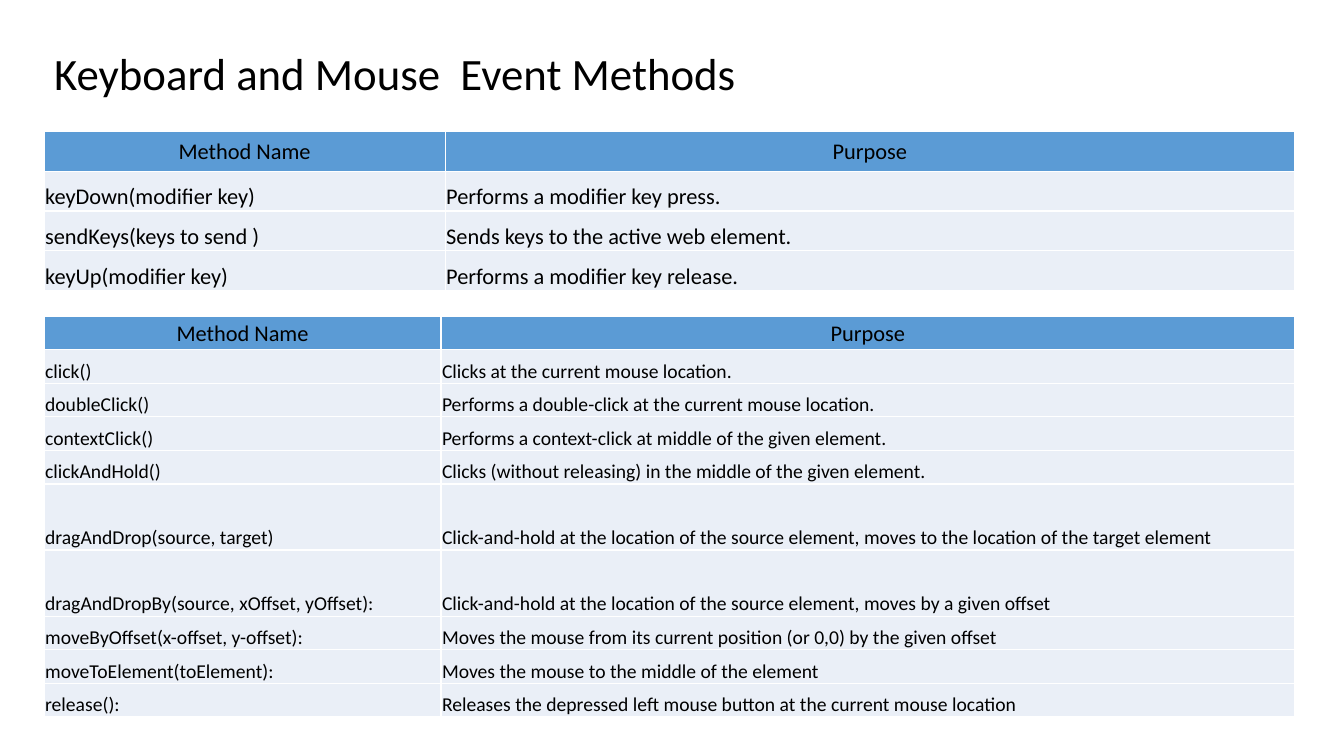
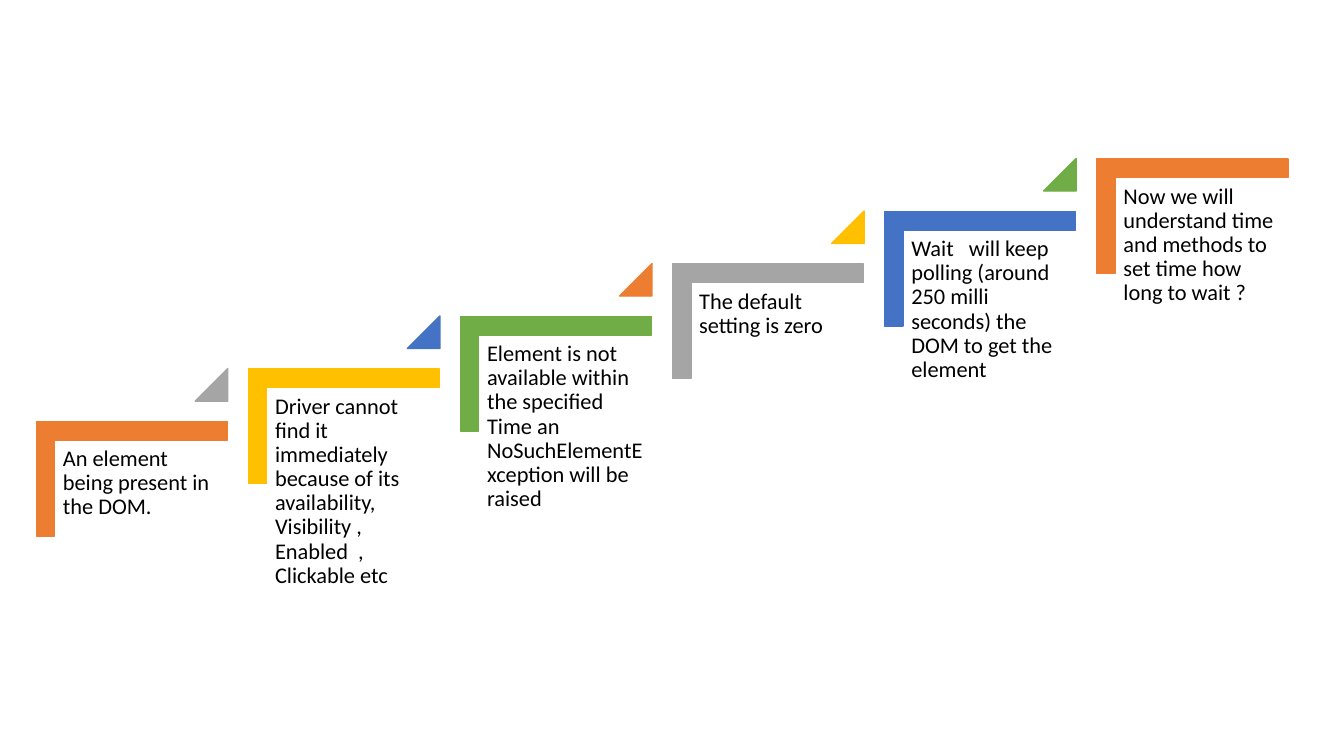
from itertools import cycle

from lxml.etree import SubElement
from pptx import Presentation
from pptx.dml.color import RGBColor
from pptx.enum.shapes import MSO_SHAPE as Shape
from pptx.enum.text import MSO_ANCHOR as Anchor, MSO_AUTO_SIZE as Auto, PP_ALIGN as Align
from pptx.oxml.ns import qn
from pptx.util import Pt

FONT = "Calibri"
BLACK, WHITE = "000000", "FFFFFF"
HEAD, BODY = "5B9BD5", "EAEFF7"
ACCENTS = ["ED7D31", "A5A5A5", "FFC000", "4472C4", "70AD47"]

LEFT = 42
HEADER = ("Method Name", "Purpose")
KEYS = [
    HEADER,
    ("keyDown(modifier key)", "Performs a modifier key press."),
    ("sendKeys(keys to send )", "Sends keys to the active web element."),
    ("keyUp(modifier key)", "Performs a modifier key release."),
]
MOUSE = [
    HEADER,
    ("click()", "Clicks at the current mouse location."),
    ("doubleClick()", "Performs a double-click at the current mouse location."),
    ("contextClick()", "Performs a context-click at middle of the given element."),
    ("clickAndHold()", "Clicks (without releasing) in the middle of the given element."),
    ("dragAndDrop(source, target)",
     "Click-and-hold at the location of the source element, "
     "moves to the location of the target element"),
    ("dragAndDropBy(source, xOffset, yOffset):",
     "Click-and-hold at the location of the source element, moves by a given offset"),
    ("moveByOffset(x-offset, y-offset):",
     "Moves the mouse from its current position (or 0,0) by the given offset"),
    ("moveToElement(toElement):", "Moves the mouse to the middle of the element"),
    ("release():", "Releases the depressed left mouse button at the current mouse location"),
]
STEPS = [
    "An element being present in the DOM.",
    "Driver cannot find it immediately because of its availability, "
    "Visibility , Enabled  , Clickable etc",
    "Element is not available within the specified Time an "
    "NoSuchElementException will be raised",
    "The default setting is zero",
    "Wait   will keep polling (around 250 milli seconds) the DOM to get the element",
    "Now we will understand time and methods to set time how long to wait ?",
]
STEP_DX, STEP_DY = 202, -50


def px(n):
    return n * 9525


def box(*sides):
    return [px(n) for n in sides]


def rgb(code):
    return RGBColor.from_string(code)


def style(para, size, align=Align.LEFT):
    para.alignment = align
    font = para.font
    font.name, font.size, font.bold = FONT, Pt(size), False
    font.color.rgb = rgb(BLACK)


def inset(item, left, top, right, bottom):
    item.margin_left, item.margin_top = px(left), px(top)
    item.margin_right, item.margin_bottom = px(right), px(bottom)


def add_title(slide, text):
    title = slide.shapes.title
    title.left, title.top, title.width, title.height = box(LEFT, 40, 815, 60)
    frame = title.text_frame
    frame.text = text
    frame.auto_size = Auto.NONE
    frame.vertical_anchor = Anchor.BOTTOM
    para = frame.paragraphs[0]
    para.line_spacing = 0.9
    style(para, 32)


def rule(cell):
    """Give all four sides of a cell a thin white border."""
    props = cell._tc.get_or_add_tcPr()
    for side in ("lnL", "lnR", "lnT", "lnB"):
        line = SubElement(props, qn(f"a:{side}"), w=str(Pt(1)))
        fill = SubElement(line, qn("a:solidFill"))
        SubElement(fill, qn("a:srgbClr"), val=WHITE)


def fill_cell(cell, text, size, head):
    rule(cell)
    cell.fill.solid()
    cell.fill.fore_color.rgb = rgb(HEAD if head else BODY)
    cell.vertical_anchor = Anchor.MIDDLE if head else Anchor.BOTTOM
    inset(cell, 1, 1, 1, 0)
    cell.text = text
    style(cell.text_frame.paragraphs[0], size, Align.CENTER if head else Align.LEFT)


def add_grid(slide, top, cols, heights, rows, size):
    frame = slide.shapes.add_table(
        len(rows), len(cols), *box(LEFT, top, sum(cols), sum(heights)))
    table = frame.table
    table.first_row = table.horz_banding = False
    for col, width in zip(table.columns, cols):
        col.width = px(width)
    for r, (height, texts) in enumerate(zip(heights, rows)):
        table.rows[r].height = px(height)
        for c, text in enumerate(texts):
            fill_cell(table.cell(r, c), text, 16 if r == 0 else size, r == 0)


def add_mark(shapes, kind, sides, color, adjust):
    mark = shapes.add_shape(kind, *box(*sides))
    mark.shadow.inherit = False
    mark.fill.solid()
    mark.fill.fore_color.rgb = mark.line.color.rgb = rgb(color)
    mark.line.width = Pt(1)
    for i, value in enumerate(adjust):
        mark.adjustments[i] = value
    return mark


def add_note(shapes, sides, text):
    frame = shapes.add_textbox(*box(*sides)).text_frame
    frame.word_wrap = True
    inset(frame, 7, 7, 7, 7)
    frame.text = text
    para = frame.paragraphs[0]
    para.line_spacing = 0.9
    style(para, 16)


def add_stairs(slide, texts):
    shapes = slide.shapes.add_group_shape().shapes
    colors = cycle(ACCENTS)
    for i, text in enumerate(texts):
        x, y = i * STEP_DX, i * STEP_DY
        corner = add_mark(shapes, Shape.CORNER, (x + 71, y + 365, 109, 182),
                          next(colors), (0.16, 0.16))
        corner.rotation = 90
        add_note(shapes, (x + 53, y + 419, 165, 145), text)
        if i < len(texts) - 1:
            add_mark(shapes, Shape.ISOSCELES_TRIANGLE, (x + 186, y + 351, 31, 31),
                     next(colors), (1,))


def main():
    deck = Presentation()
    deck.slide_width, deck.slide_height = box(1280, 720)
    title_only, blank = deck.slide_layouts[5], deck.slide_layouts[6]

    events = deck.slides.add_slide(title_only)
    add_title(events, "Keyboard and Mouse  Event Methods")
    add_grid(events, 125, (382, 809), [38] * 4, KEYS, 16)
    add_grid(events, 301, (378, 813), [32] * 5 + [63] * 2 + [32] * 3, MOUSE, 14)

    waits = deck.slides.add_slide(blank)
    add_stairs(waits, STEPS)
    deck.save("out.pptx")


if __name__ == "__main__":
    main()
